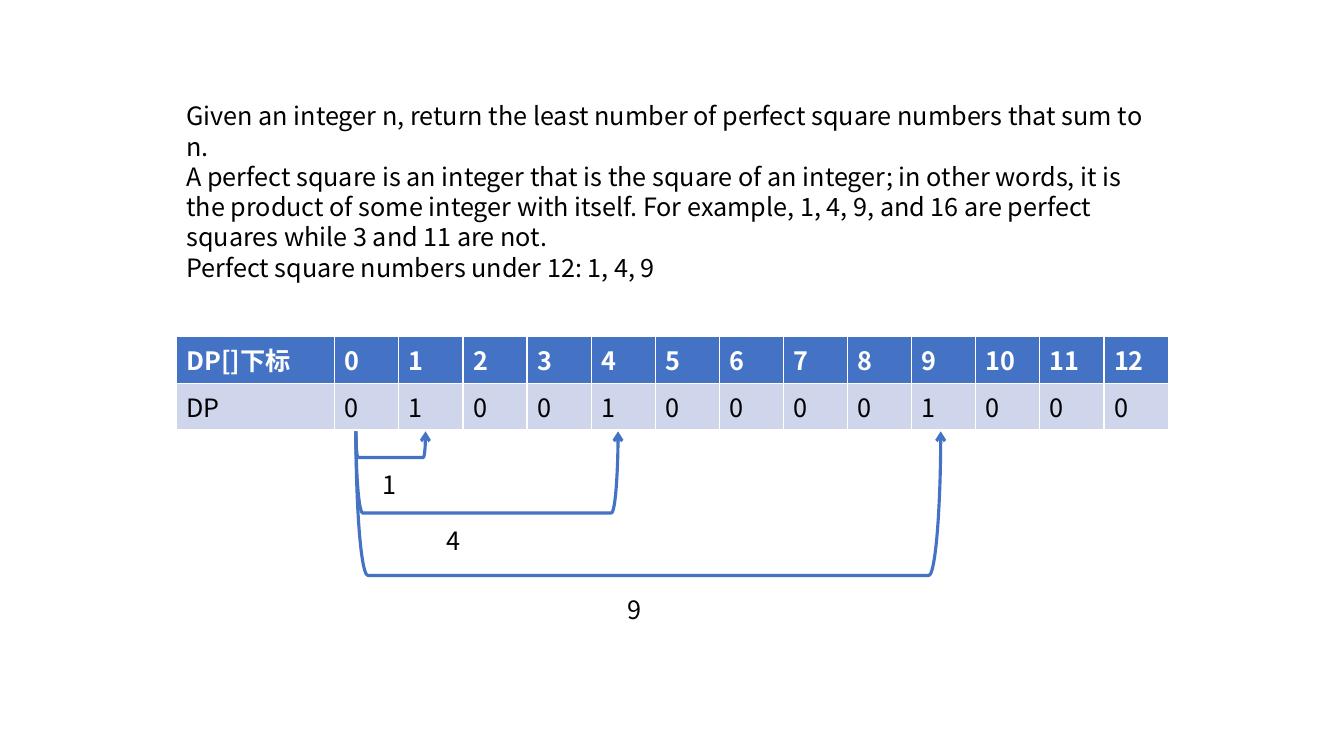
from lxml.etree import SubElement as Sub
from pptx import Presentation
from pptx.dml.color import RGBColor as RGB
from pptx.enum.shapes import MSO_SHAPE as Shape
from pptx.enum.text import MSO_AUTO_SIZE as Auto
from pptx.oxml.ns import qn
from pptx.util import Inches, Pt

HUES = {"blue": "4472C4", "pale": "CFD5EA", "white": "FFFFFF", "black": "000000"}
FACE = "Noto Sans CJK SC"


def write(para, text, hue="black", bold=False):
    run = para.add_run()
    run.text = text
    style = {"name": FACE, "size": Pt(18), "bold": bold}
    for key, value in style.items():
        setattr(run.font, key, value)
    run.font.color.rgb = RGB.from_string(HUES[hue])
    Sub(run.font._element, qn("a:ea"), typeface=FACE)


def add_text(box, lines, wrap):
    frame = slide.shapes.add_textbox(*map(Inches, box)).text_frame
    frame.word_wrap = wrap
    frame.auto_size = Auto.SHAPE_TO_FIT_TEXT
    for i, line in enumerate(lines):
        write(frame.add_paragraph() if i else frame.paragraphs[0], line)


deck = Presentation()
deck.slide_width, deck.slide_height = Inches(13.33), Inches(7.5)
slide = deck.slides.add_slide(deck.slide_layouts[6])

# DP table: a cell is 1 where its index is a perfect square
squares = [1, 4, 9]
rows = [
    ["DP[]下标", *range(13)],
    ["DP", 0, *(int(n in squares) for n in range(1, 13))],
]
looks = [("blue", "white", True), ("pale", "black", False)]
grid = slide.shapes.add_table(
    2, 14, Inches(1.75), Inches(3.34), Inches(9.84), Inches(0.81)).table
for c, col in enumerate(grid.columns):
    col.width = Inches(0.636 if c else 1.57)
for r, (row, (fill, hue, bold)) in enumerate(zip(rows, looks)):
    for c, value in enumerate(row):
        cell = grid.cell(r, c)
        cell.fill.solid()
        cell.fill.fore_color.rgb = RGB.from_string(HUES[fill])
        write(cell.text_frame.paragraphs[0], str(value), hue, bold)

# Problem statement
add_text((1.75, 0.95, 9.84, 1.62), [
    "Given an integer n, return the least number of perfect square numbers "
    "that sum to n.",
    "A perfect square is an integer that is the square of an integer; in other "
    "words, it is the product of some integer with itself. For example, 1, 4, 9, "
    "and 16 are perfect squares while 3 and 11 are not.",
    "Perfect square numbers under 12: 1, 4, 9",
], True)

# Jumps from index 0 to each square: span, depth and label place
left, top = 3.53, 4.28
jumps = [(0.69, 0.26, 3.7, 4.61), (2.6, 0.81, 4.33, 5.16), (5.8, 1.43, 6.13, 5.85)]
for square, (span, depth, x, y) in zip(squares, jumps):
    # The upright bracket turns about its centre, so width and height swap
    shift = (span - depth) / 2
    hook = slide.shapes.add_shape(
        Shape.LEFT_BRACKET, Inches(left + shift), Inches(top - shift),
        Inches(depth), Inches(span))
    hook.rotation = 270
    hook._element.spPr.find(qn("a:xfrm")).set("flipV", "1")
    hook.shadow.inherit = False
    hook.fill.background()
    hook.line.color.rgb = RGB.from_string(HUES["blue"])
    hook.line.width = Pt(2.25)
    Sub(hook.line._get_or_add_ln(), qn("a:tailEnd"), type="arrow")
    add_text((x, y, 0.34, 0.4), [str(square)], False)

deck.save("out.pptx")
